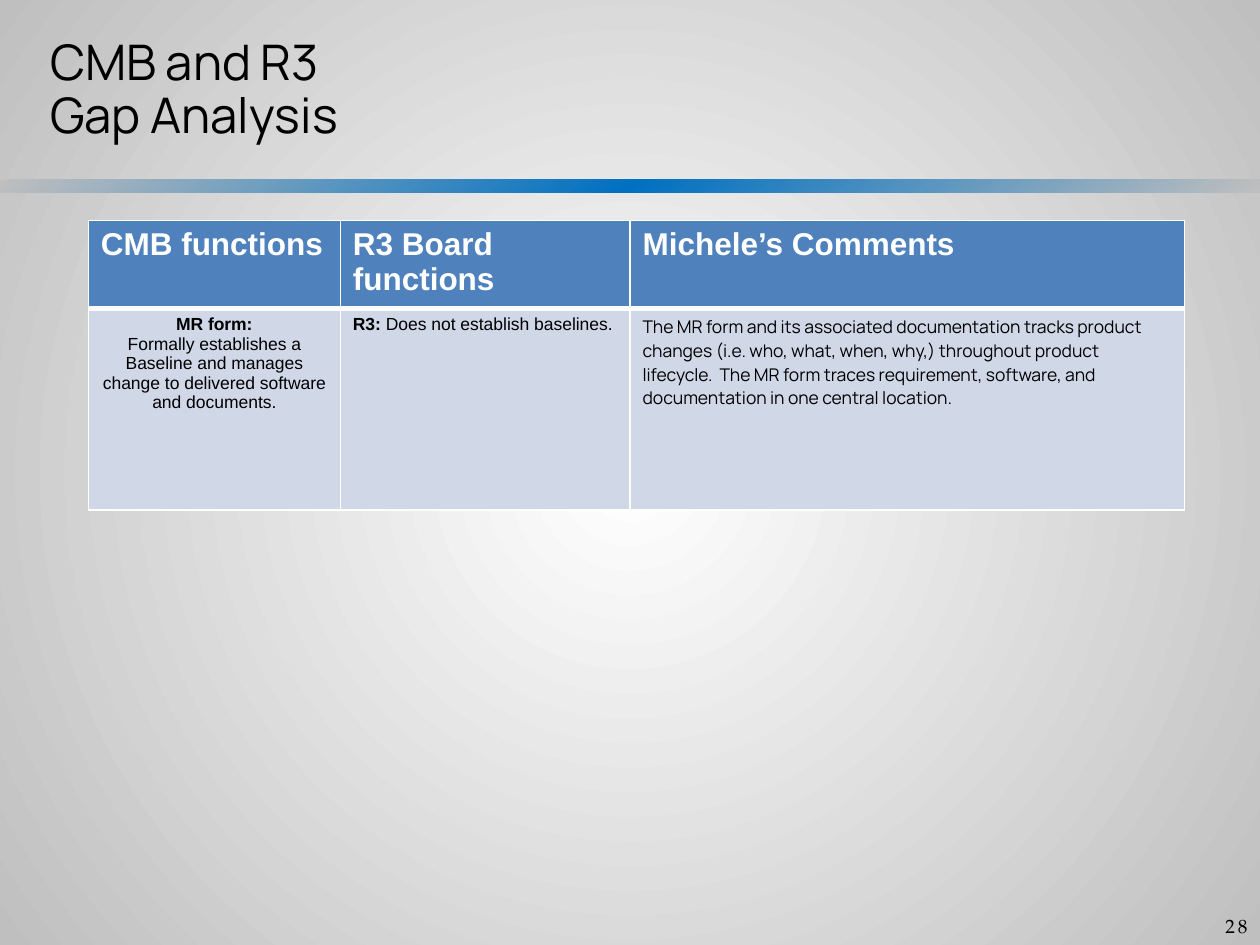
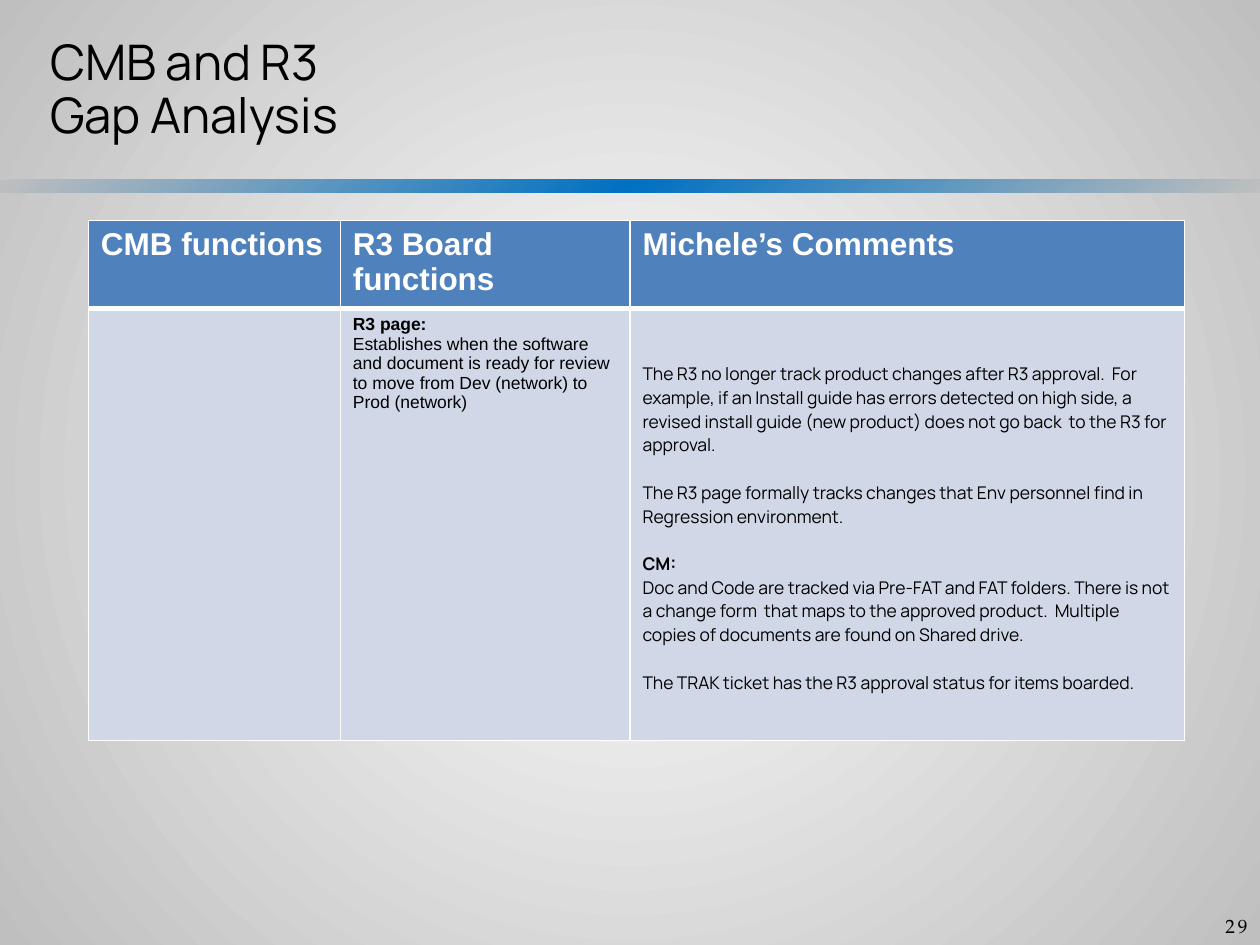
import pptx
import pptx.util
import pptx.dml.color
import pptx.enum.shapes
import pptx.enum.text
import pptx.oxml
import pptx.oxml.ns
from lxml import etree

Cm, Pt = pptx.util.Cm, pptx.util.Pt
ALIGN = pptx.enum.text.PP_ALIGN
qn = pptx.oxml.ns.qn

COLORS = {
    "text": "000000",
    "white": "FFFFFF",
    "edge": "BFBFBF",
    "accent": "0070C0",
    "header": "4F81BD",
    "body": "D0D8E8",
}
SANS, DISPLAY, SERIF = "Arial", "Manrope", "TeX Gyre Pagella"

PAGE = (25.4, 19.05)
BAND_BOX = (0, 3.62, 25.4, 0.27)
TITLE_BOX = (0.76, 0.64, 16.26, 3.43)
NUMBER_BOX = (23.29, 18.31, 2.11, 0.74)
TABLE_LEFT, TABLE_TOP = 1.78, 4.44
COLUMNS = (5.08, 5.84, 11.18)
HEADER_HEIGHT = 1.78
LINE_GAP = 13.5

TITLE = ("CMB and R3", "Gap Analysis")
HEADERS = ("CMB functions", "R3 Board functions", "Michele’s Comments")


def rgb(name):
    return pptx.dml.color.RGBColor.from_string(COLORS[name])


def add_run(p, text, font, size, color="text", bold=False):
    r = p.add_run()
    r.text = text
    r.font.name = font
    r.font.size = Pt(size)
    r.font.bold = bold
    r.font.color.rgb = rgb(color)
    return r


def next_paragraph(tf, index):
    return tf.add_paragraph() if index else tf.paragraphs[0]


def set_radial_fill(element, stops, focus):
    solid = element.find(".//" + qn("a:solidFill"))
    grad = pptx.oxml.parse_xml(
        "<a:gradFill %s rotWithShape='1'><a:gsLst/><a:path path='circle'/></a:gradFill>"
        % pptx.oxml.ns.nsdecls("a"))
    for position, name in stops:
        gs = etree.SubElement(grad[0], qn("a:gs"), pos=str(position * 1000))
        etree.SubElement(gs, qn("a:srgbClr"), val=COLORS[name])
    sides = {side: str(value * 1000) for side, value in zip("ltrb", focus)}
    etree.SubElement(grad[1], qn("a:fillToRect"), **sides)
    solid.getparent().replace(solid, grad)


def add_text_box(s, box):
    sp = s.shapes.add_textbox(*map(Cm, box))
    sp.text_frame.word_wrap = True
    return sp.text_frame


def add_background(s):
    s.background.fill.solid()
    set_radial_fill(s.element, [(0, "white"), (100, "edge")], (50, 50, 50, 50))


def add_band(s, box):
    sp = s.shapes.add_shape(pptx.enum.shapes.MSO_SHAPE.RECTANGLE, *map(Cm, box))
    sp.shadow.inherit = False
    sp.line.fill.background()
    sp.fill.solid()
    set_radial_fill(sp.element, [(0, "edge"), (50, "accent"), (100, "edge")],
                    (100, 100, 0, 0))


def add_title(s, box):
    tf = add_text_box(s, box)
    for i, line in enumerate(TITLE):
        p = next_paragraph(tf, i)
        p.line_spacing = 0.9
        add_run(p, line, DISPLAY, 28)


def add_page_number(s, box, number):
    p = add_text_box(s, box).paragraphs[0]
    p.alignment = ALIGN.RIGHT
    r = add_run(p, str(number), SERIF, 11)
    r.font._element.set("spc", "170")


def style_cell(cell, fill, top=1, bottom=1):
    tc_pr = cell._tc.get_or_add_tcPr()
    for side, width in zip("LRTB", (1, 1, top, bottom)):
        ln = etree.SubElement(tc_pr, qn("a:ln" + side), w=str(Pt(width)))
        color = etree.SubElement(ln, qn("a:solidFill"))
        etree.SubElement(color, qn("a:srgbClr"), val=COLORS["white"])
    cell.fill.solid()
    cell.fill.fore_color.rgb = rgb(fill)


def fill_body_cell(cell, paragraphs, font, align):
    for i, (gap, runs) in enumerate(paragraphs):
        p = next_paragraph(cell.text_frame, i)
        p.alignment = align
        p.space_before = Pt(gap)
        for text, bold in runs:
            add_run(p, text, font, 10, bold=bold)


def add_gap_table(s, left, top, body_height, body, comment_inset):
    heights = (HEADER_HEIGHT, body_height)
    frame = s.shapes.add_table(2, len(COLUMNS), Cm(left), Cm(top),
                               Cm(sum(COLUMNS)), Cm(sum(heights)))
    table = frame.table
    table.horz_banding = False
    for row, height in zip(table.rows, heights):
        row.height = Cm(height)
    fonts = (SANS, SANS, DISPLAY)
    aligns = (ALIGN.CENTER, ALIGN.LEFT, ALIGN.LEFT)
    for i, width in enumerate(COLUMNS):
        table.columns[i].width = Cm(width)
        head, cell = table.cell(0, i), table.cell(1, i)
        style_cell(head, "header", bottom=3)
        add_run(head.text_frame.paragraphs[0], HEADERS[i], SANS, 18, "white", True)
        style_cell(cell, "body", top=3)
        fill_body_cell(cell, body[i], fonts[i], aligns[i])
    table.cell(1, 2).margin_top = Cm(comment_inset)


def add_gap_slide(prs, number, body_height, body, comment_inset=0.13):
    s = prs.slides.add_slide(prs.slide_layouts[6])
    add_background(s)
    add_band(s, BAND_BOX)
    add_page_number(s, NUMBER_BOX, number)
    add_title(s, TITLE_BOX)
    add_gap_table(s, TABLE_LEFT, TABLE_TOP, body_height, body, comment_inset)


FORM_ROW = (
    [(0, [("MR form:", True)]),
     (0, [("Formally establishes a Baseline and manages change to delivered "
           "software and documents.", False)])],
    [(0, [("R3: ", True), ("Does not establish baselines.", False)])],
    [(0, [("The MR form and its associated documentation tracks product changes "
           "(i.e. who, what, when, why,) throughout product lifecycle.  The MR form "
           "traces requirement, software, and documentation in one central "
           "location.", False)])],
)

PAGE_ROW = (
    [],
    [(0, [("R3 page:", True)]),
     (0, [("Establishes when the software and document is ready for review to move "
           "from Dev (network) to Prod (network)", False)])],
    [(0, [("The R3 no longer track product changes after R3 approval.  For example, "
           "if an Install guide has errors detected on high side, a revised install "
           "guide (new product) does not go back  to the R3 for approval.", False)]),
     (LINE_GAP, [("The R3 page formally tracks changes that Env personnel find in "
                  "Regression environment.", False)]),
     (LINE_GAP, [("CM:", True)]),
     (0, [("Doc and Code are tracked via Pre-FAT and FAT folders. There is not a "
           "change form  that maps to the approved product.  Multiple copies of "
           "documents are found on Shared drive.", False)]),
     (LINE_GAP, [("The TRAK ticket has the R3 approval status for items boarded.",
                  False)])],
)

prs = pptx.Presentation()
prs.slide_width, prs.slide_height = map(Cm, PAGE)
add_gap_slide(prs, 28, 4.06, FORM_ROW)
add_gap_slide(prs, 29, 8.71, PAGE_ROW, comment_inset=1.08)
prs.save("out.pptx")
